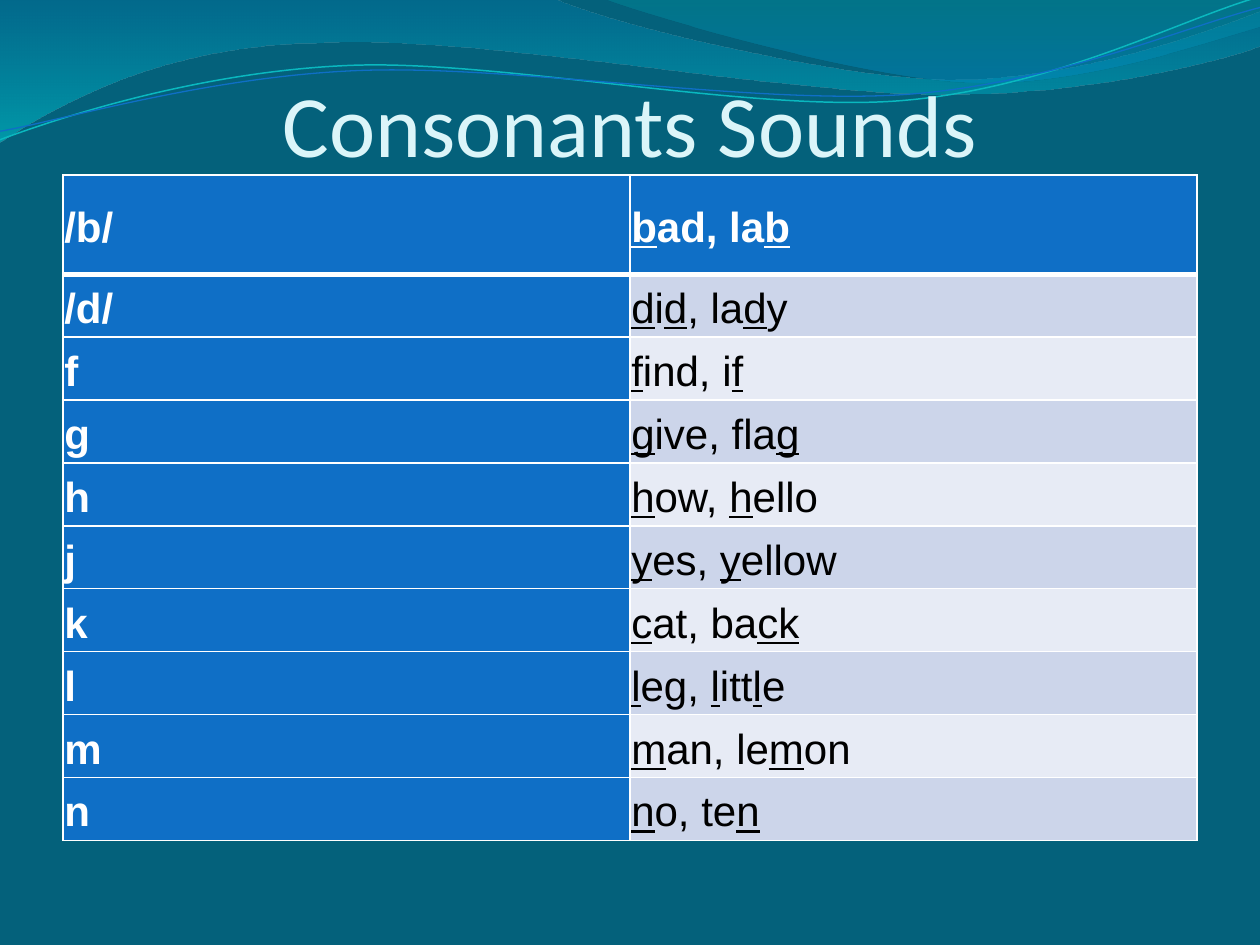
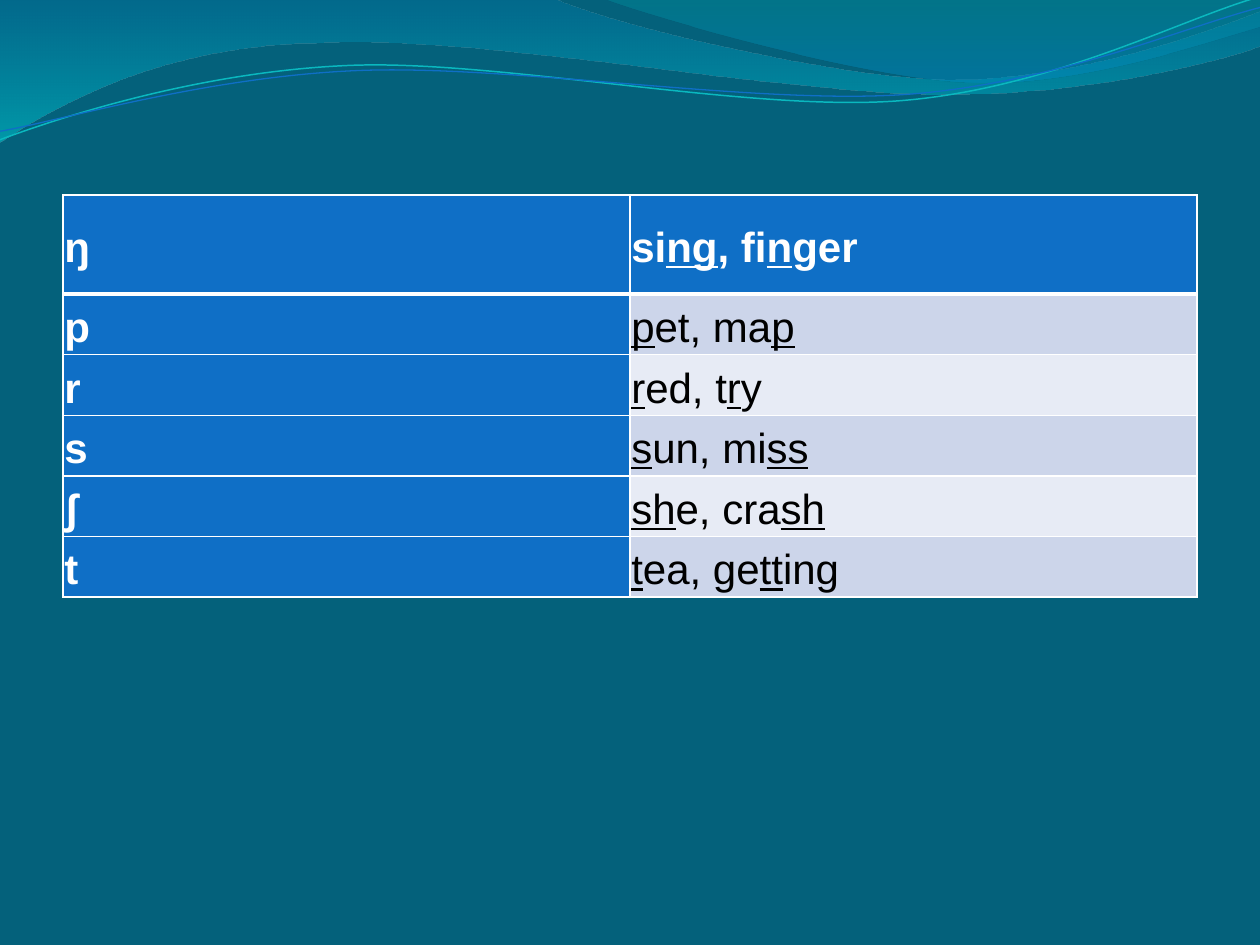
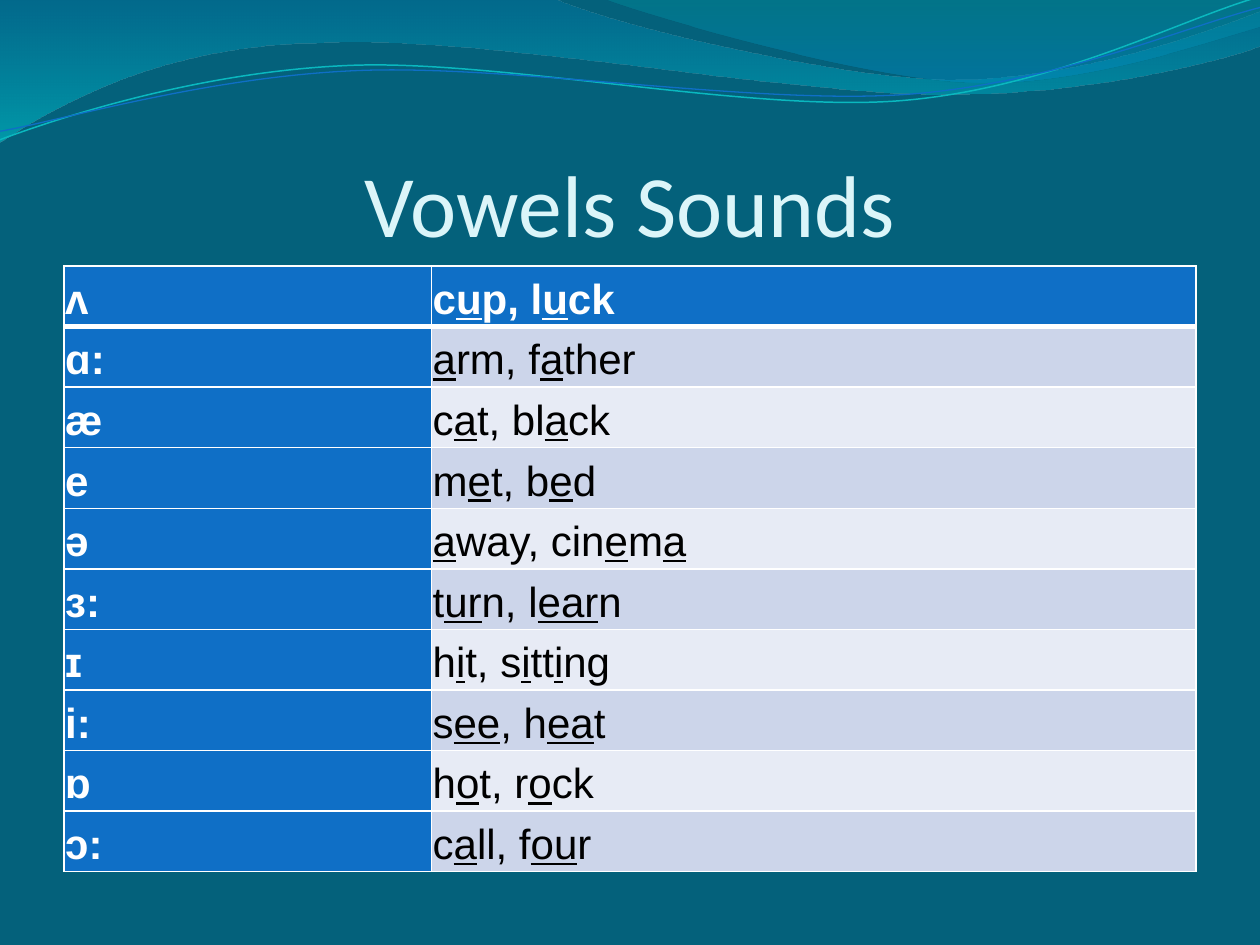
from lxml.etree import SubElement
from pptx import Presentation
from pptx.dml.color import RGBColor
from pptx.enum.text import MSO_ANCHOR, PP_ALIGN
from pptx.oxml.ns import qn
from pptx.util import Pt

BACKGROUND = RGBColor(0x04, 0x61, 0x7B)
TITLE = RGBColor(0xDB, 0xF5, 0xF9)
BLUE = RGBColor(0x0F, 0x6F, 0xC6)
AQUA = RGBColor(0x0A, 0xB8, 0xBF)
BAND_DARK = RGBColor(0xCC, 0xD5, 0xEA)
BAND_LIGHT = RGBColor(0xE7, 0xEB, 0xF5)
WHITE = RGBColor(0xFF, 0xFF, 0xFF)
BLACK = RGBColor(0x00, 0x00, 0x00)
WAVE_BLUE = RGBColor(0x00, 0x74, 0xA1)
WAVE_CYAN = RGBColor(0x00, 0xC6, 0xCF)
CREST_TEAL = RGBColor(0x00, 0xA1, 0xA9)
CREST_BLUE = RGBColor(0x00, 0x8B, 0xBF)

LINE_TILT = -2.7
WAVE = [(0, -0.7), (316.8, -0.7), (342.7, 12.2, 478.1, 45.4, 545.8, 45.4),
        (614.2, 45.4, 689.8, 18.7, 720, 6.5), (720.7, 25.9),
        (707.8, 31.7, 626.4, 54.7, 537.1, 54), (447.8, 54, 275, 20.2, 185, 24.5),
        (92.9, 25.2, 33.1, 59.8, -0.7, 81.4), (0, -0.7)]
CREST = [(344.9, -0.7), (366.5, 7.9, 491, 44.6, 553.7, 46.8),
         (616.3, 49.7, 691.9, 23, 720, 15.1), (720, 0), (344.9, -0.7)]
AQUA_LINE = [(-1.4, 62.9), (33.8, 51.7, 114.1, 29.4, 199.8, 29.9),
             (284.8, 30.3, 425.8, 67.3, 512.4, 64.9), (599, 62.4, 676.5, 25.7, 720.2, 15.5)]
BLUE_LINE = [(-1.1, 58), (32.9, 53.8, 118.3, 32.5, 204.1, 33),
             (290.6, 33.4, 428.9, 63.1, 515.5, 61.4), (601.3, 59.6, 678.5, 30.1, 721.4, 21.3)]

CONSONANTS = [("/b/", "_b_ad, la_b_"), ("/d/", "_d_i_d_, la_d_y"), ("f", "_f_ind, i_f_"),
              ("g", "_g_ive, fla_g_"), ("h", "_h_ow, _h_ello"), ("j", "_y_es, _y_ellow"),
              ("k", "_c_at, ba_ck_"), ("l", "_l_eg, _l_itt_l_e"), ("m", "_m_an, le_m_on"),
              ("n", "_n_o, te_n_")]
MORE_CONSONANTS = [("ŋ", "si_ng_, fi_n_ger"), ("p", "_p_et, ma_p_"), ("r", "_r_ed, t_r_y"),
                   ("s", "_s_un, mi_ss_"), ("ʃ", "_sh_e, cra_sh_"), ("t", "_t_ea, ge_tt_ing")]
VOWELS = [("ʌ", "c_u_p, l_u_ck"), ("ɑ:", "_a_rm, f_a_ther"), ("æ", "c_a_t, bl_a_ck"),
          ("e", "m_e_t, b_e_d"), ("ə", "_a_way, cin_e_m_a_"), ("ɜ:", "t_ur_n, l_ear_n"),
          ("ɪ", "h_i_t, s_i_tt_i_ng"), ("i:", "s_ee_, h_ea_t"), ("ɒ", "h_o_t, r_o_ck"),
          ("ɔ:", "c_a_ll, f_ou_r")]


def add_outline(s, left, top, segments, close):
    """Draw straight (2 numbers) and cubic (6 numbers) segments relative to left and top."""
    points = [(Pt(left + x), Pt(top + y))
              for seg in segments for x, y in zip(seg[::2], seg[1::2])]
    builder = s.shapes.build_freeform(*points[0])
    builder.add_line_segments(points[1:], close=close)
    sp = builder.convert_to_shape()
    sp.shadow.inherit = False
    nodes = iter(list(sp._element.spPr.iter(qn("a:lnTo"))))
    for seg in segments[1:]:
        first, *others = [next(nodes) for _ in seg[::2]]
        if others:
            first.tag = qn("a:cubicBezTo")
        for node in others:
            first.append(node[0])
            node.getparent().remove(node)
    return sp


def add_wave(s, left, top, segments, stops):
    """Add a wave with a translucent gradient running downwards."""
    sp = add_outline(s, left, top, segments, True)
    sp.line.fill.background()
    sp.fill.gradient()
    sp.fill.gradient_angle = 270
    for stop, (position, color, _) in zip(sp.fill.gradient_stops, stops):
        stop.position = position
        stop.color.rgb = color
    for clr, (_, _, alpha) in zip(sp._element.spPr.iter(qn("a:srgbClr")), stops):
        SubElement(clr, qn("a:alpha")).set("val", str(alpha * 1000))


def add_curve(s, left, top, segments, color, width):
    """Add an open, slightly tilted curved line."""
    sp = add_outline(s, left, top, segments, False)
    sp.rotation = LINE_TILT
    sp.fill.background()
    sp.line.color.rgb = color
    sp.line.width = Pt(width)


def add_header(s, left=0, top=0):
    """Draw the waves along the top of the slide."""
    add_wave(s, left, top, WAVE, [(0, WAVE_BLUE, 45), (1, WAVE_CYAN, 55)])
    add_wave(s, left, top, CREST, [(0, CREST_TEAL, 30), (0.8, CREST_BLUE, 45)])
    add_curve(s, left, top, AQUA_LINE, AQUA, 0.85)
    add_curve(s, left, top, BLUE_LINE, BLUE, 0.75)


def add_title(s, text, left, top, width, height):
    """Add a centred title standing on the bottom of its box."""
    tf = s.shapes.add_textbox(Pt(left), Pt(top), Pt(width), Pt(height)).text_frame
    tf.word_wrap = True
    tf.vertical_anchor = MSO_ANCHOR.BOTTOM
    tf.margin_left = tf.margin_right = tf.margin_bottom = 0
    tf.margin_top = Pt(3.6)
    tf.text = text
    p = tf.paragraphs[0]
    p.alignment = PP_ALIGN.CENTER
    font = p.runs[0].font
    font.name, font.size = "Calibri", Pt(50)
    font.color.rgb = TITLE


def set_borders(cell, top, bottom):
    """Give a cell white borders of the given top and bottom widths."""
    tc_pr = cell._tc.get_or_add_tcPr()
    for tag, width in (("a:lnL", 1), ("a:lnR", 1), ("a:lnT", top), ("a:lnB", bottom)):
        ln = SubElement(tc_pr, qn(tag), w=str(Pt(width)))
        fill = SubElement(ln, qn("a:solidFill"))
        SubElement(fill, qn("a:srgbClr"), val=str(WHITE))


def fill_cell(cell, marked, fill, color, bold):
    """Write text into a cell, underlining the parts between underscores."""
    cell.margin_left = cell.margin_right = cell.margin_top = cell.margin_bottom = Pt(0.75)
    cell.vertical_anchor = MSO_ANCHOR.MIDDLE
    cell.fill.solid()
    cell.fill.fore_color.rgb = fill
    p = cell.text_frame.paragraphs[0]
    p.line_spacing = 1.15
    for i, part in enumerate(marked.split("_")):
        if part:
            r = p.add_run()
            r.text = part
            r.font.name, r.font.size = "Arial", Pt(24)
            r.font.bold = bold
            r.font.underline = i % 2 == 1
            r.font.color.rgb = color


def add_sounds(s, sounds, left, top, col_widths, first_height, row_height):
    """Add the table of sounds and example words."""
    height = first_height + row_height * (len(sounds) - 1)
    table = s.shapes.add_table(len(sounds), 2, Pt(left), Pt(top),
                               Pt(sum(col_widths)), Pt(height)).table
    table.first_row = table.horz_banding = False
    for col, width in zip(table.columns, col_widths):
        col.width = Pt(width)
    for i, texts in enumerate(sounds):
        table.rows[i].height = Pt(row_height if i else first_height)
        for j, text in enumerate(texts):
            cell = table.cell(i, j)
            set_borders(cell, 3 if i == 1 else 1, 1 if i else 3)
            if i == 0 or j == 0:
                fill_cell(cell, text, BLUE, WHITE, True)
            else:
                fill_cell(cell, text, BAND_DARK if i % 2 else BAND_LIGHT, BLACK, False)


def add_slide(prs):
    """Add a blank slide with the shared background and waves."""
    s = prs.slides.add_slide(prs.slide_layouts[6])
    s.background.fill.solid()
    s.background.fill.fore_color.rgb = BACKGROUND
    add_header(s)
    return s


def main():
    """Build the three slides and save them."""
    prs = Presentation()
    prs.slide_width, prs.slide_height = Pt(720), Pt(540)

    s = add_slide(prs)
    add_title(s, "Consonants Sounds", 36, 20, 648, 80)
    add_sounds(s, CONSONANTS, 36, 100, (324, 324), 56.7, 35.95)

    s = add_slide(prs)
    add_sounds(s, MORE_CONSONANTS, 36, 111.4, (324, 324), 56.7, 34.6)

    s = add_slide(prs)
    add_title(s, "Vowels Sounds", 36, 55.5, 648, 90)
    add_sounds(s, VOWELS, 36.5, 152, (210, 437), 34.63, 34.63)

    prs.save("out.pptx")


if __name__ == "__main__":
    main()
